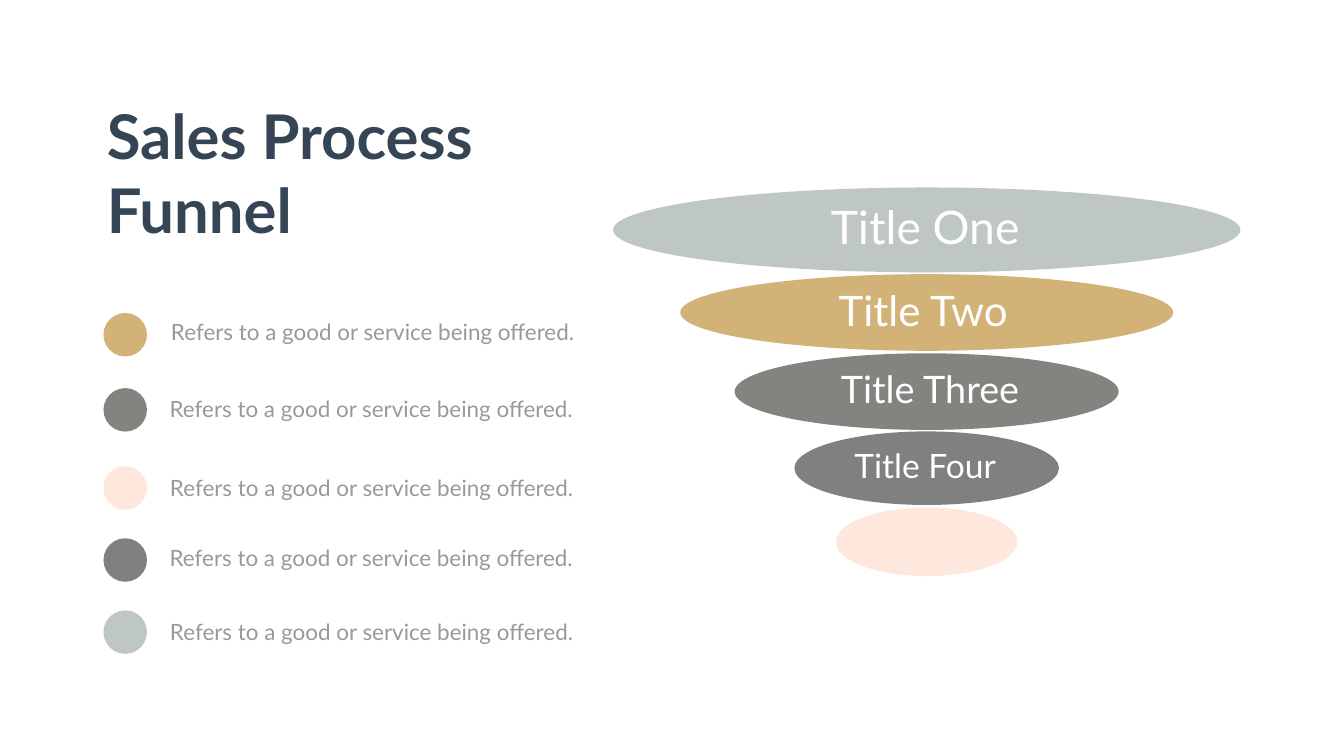
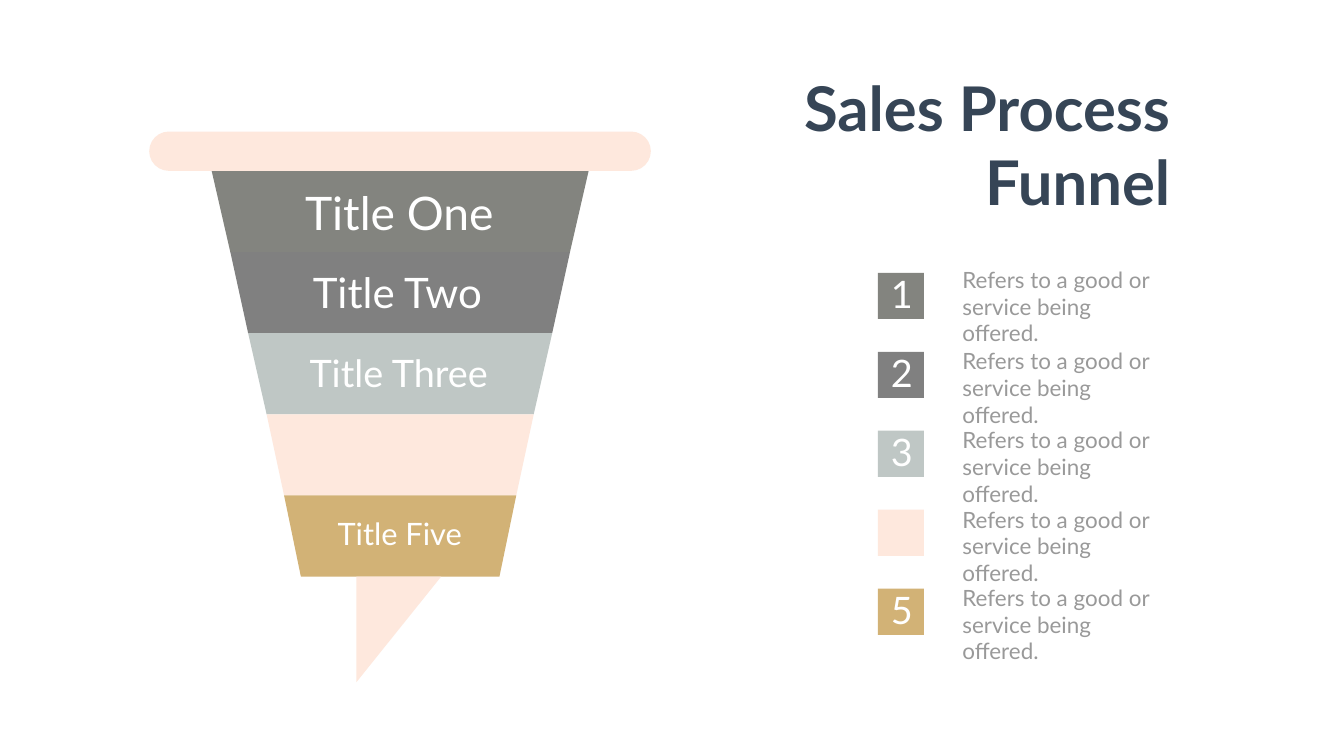
import pptx
import pptx.util
import pptx.dml.color
import pptx.enum.shapes
import pptx.enum.text
from dataclasses import dataclass

Shape = pptx.enum.shapes.MSO_SHAPE
Align = pptx.enum.text.PP_ALIGN
Fit = pptx.enum.text.MSO_AUTO_SIZE


@dataclass(frozen=True)
class Theme:
    font: str = "Lato"
    navy: str = "364556"
    note: str = "999999"
    white: str = "FFFFFF"
    gold: str = "D2B276"
    mist: str = "BFC7C5"
    olive: str = "83847F"
    gray: str = "808080"
    blush: str = "FEE8DD"
    head_size: int = 88
    note_size: int = 32
    mark_size: int = 54
    tier_sizes: tuple = (66, 60, 54, 48, 44)


THEME = Theme()
COLS, ROWS = 80, 45

HEAD = ["Sales Process", "Funnel"]
NOTE = ["Refers to a good or service being offered."]
SPLIT = ["Refers to a good or", "service being offered."]
TIERS = [("Title One", 12), ("Title Two", 11.07), ("Title Three", 11.46),
         ("Title Four", 9.21), ("Title Five", 8.13)]

AXIS = 55.16
DISCS = [
    (11.16, 37.35, 5.05, 0, THEME.mist),
    (16.32, 29.34, 4.56, 0, THEME.gold),
    (21.03, 22.86, 4.56, 0.33, THEME.olive),
    (25.68, 15.75, 4.38, 0, THEME.gray),
    (30.21, 10.8, 4.08, 0, THEME.blush),
]
KEYS = [
    (18.63, 9.75, 18.78, THEME.gold),
    (23.1, 9.67, 23.37, THEME.olive),
    (27.75, 9.69, 28.08, THEME.blush),
    (32.04, 9.67, 32.22, THEME.gray),
    (36.33, 9.69, 36.66, THEME.mist),
]

CONE_AXIS, CONE_TOP, BAND = 23.82, 10.17, 4.83
HALVES = [11.22, 10.11, 9.05, 7.95, 6.91, 5.91]
BANDS = [THEME.olive, THEME.gray, THEME.mist, THEME.blush, THEME.gold]
SPLIT_TOPS = [15.67, 20.52, 25.21, 29.95, 34.6]
SPOUT = [(21.22, 34.32), (26.26, 34.32), (21.22, 40.6)]

deck = pptx.Presentation()
deck.slide_width = pptx.util.Inches(26.66)
deck.slide_height = pptx.util.Inches(15)


def col(n):
    return round(deck.slide_width * n / COLS)


def row(n):
    return round(deck.slide_height * n / ROWS)


def tint(hue):
    return pptx.dml.color.RGBColor.from_string(hue)


def paint(shape, hue):
    shape.shadow.inherit = False
    shape.fill.solid()
    shape.fill.fore_color.rgb = tint(hue)
    shape.line.fill.background()
    return shape


def block(slide, kind, x, y, w, h, hue):
    return paint(slide.shapes.add_shape(kind, col(x), row(y), col(w), row(h)), hue)


def poly(slide, points, hue):
    spots = [(col(x), row(y)) for x, y in points]
    pen = slide.shapes.build_freeform(*spots[0])
    pen.add_line_segments(spots[1:], close=True)
    return paint(pen.convert_to_shape(), hue)


def tall(size, lines=1):
    return (size * 1.2 * lines / 72 + 0.1) * 3


def write(slide, lines, x, y, w, size=THEME.note_size, hue=THEME.note,
          bold=False, align=Align.LEFT, wrap=False):
    box = slide.shapes.add_textbox(col(x), row(y), col(w), row(tall(size, len(lines))))
    frame = box.text_frame
    frame.word_wrap = wrap
    frame.auto_size = Fit.SHAPE_TO_FIT_TEXT
    for i, line in enumerate(lines):
        para = frame.add_paragraph() if i else frame.paragraphs[0]
        para.alignment = align
        run = para.add_run()
        run.text = line
        run.font.name = THEME.font
        run.font.size = pptx.util.Pt(size)
        run.font.bold = bold
        run.font.color.rgb = tint(hue)


def start(x, y, align):
    slide = deck.slides.add_slide(deck.slide_layouts[6])
    write(slide, HEAD, x, y, 22.78, size=THEME.head_size, hue=THEME.navy,
          bold=True, align=align)
    return slide


def label(slide, i, mid_x, mid_y):
    text, wide = TIERS[i]
    size = THEME.tier_sizes[i]
    write(slide, [text], mid_x - wide / 2, mid_y - tall(size) / 2, wide,
          size=size, hue=THEME.white)


def discs():
    slide = start(6.06, 5.67, Align.LEFT)
    for i, (top, wide, high, shift, hue) in enumerate(DISCS):
        block(slide, Shape.OVAL, AXIS - wide / 2, top, wide, high, hue)
        if hue != THEME.blush:
            label(slide, i, AXIS + shift, top + high * 0.46)
    for top, text_x, text_top, hue in KEYS:
        block(slide, Shape.OVAL, 6.16, top, 2.59, 2.59, hue)
        write(slide, NOTE, text_x, text_top, 24.87, align=Align.CENTER, wrap=True)


def cone():
    slide = start(47.17, 3.99, Align.RIGHT)
    for i, hue in enumerate(BANDS):
        top = CONE_TOP + i * BAND
        upper, lower = HALVES[i:i + 2]
        poly(slide, [(CONE_AXIS - upper, top), (CONE_AXIS + upper, top),
                     (CONE_AXIS + lower, top + BAND),
                     (CONE_AXIS - lower, top + BAND)], hue)
        block(slide, Shape.RECTANGLE, 52.25, 16.24 + i * 4.7, 2.75, 2.75, hue)
        if hue != THEME.blush:
            label(slide, i, CONE_AXIS + 0.04, 12.6 + i * 4.79)
            write(slide, [str(i + 1)], 52.74, 15.95 + i * 4.7, 1.92,
                  size=THEME.mark_size, hue=THEME.white)
        write(slide, SPLIT, 56.99, SPLIT_TOPS[i], 12.54, wrap=True)
    rim = block(slide, Shape.ROUNDED_RECTANGLE, 8.88, 7.83, 29.86, 2.34, THEME.blush)
    rim.adjustments[0] = 0.5
    poly(slide, SPOUT, THEME.blush)


def main():
    discs()
    cone()
    deck.save("out.pptx")


if __name__ == "__main__":
    main()
